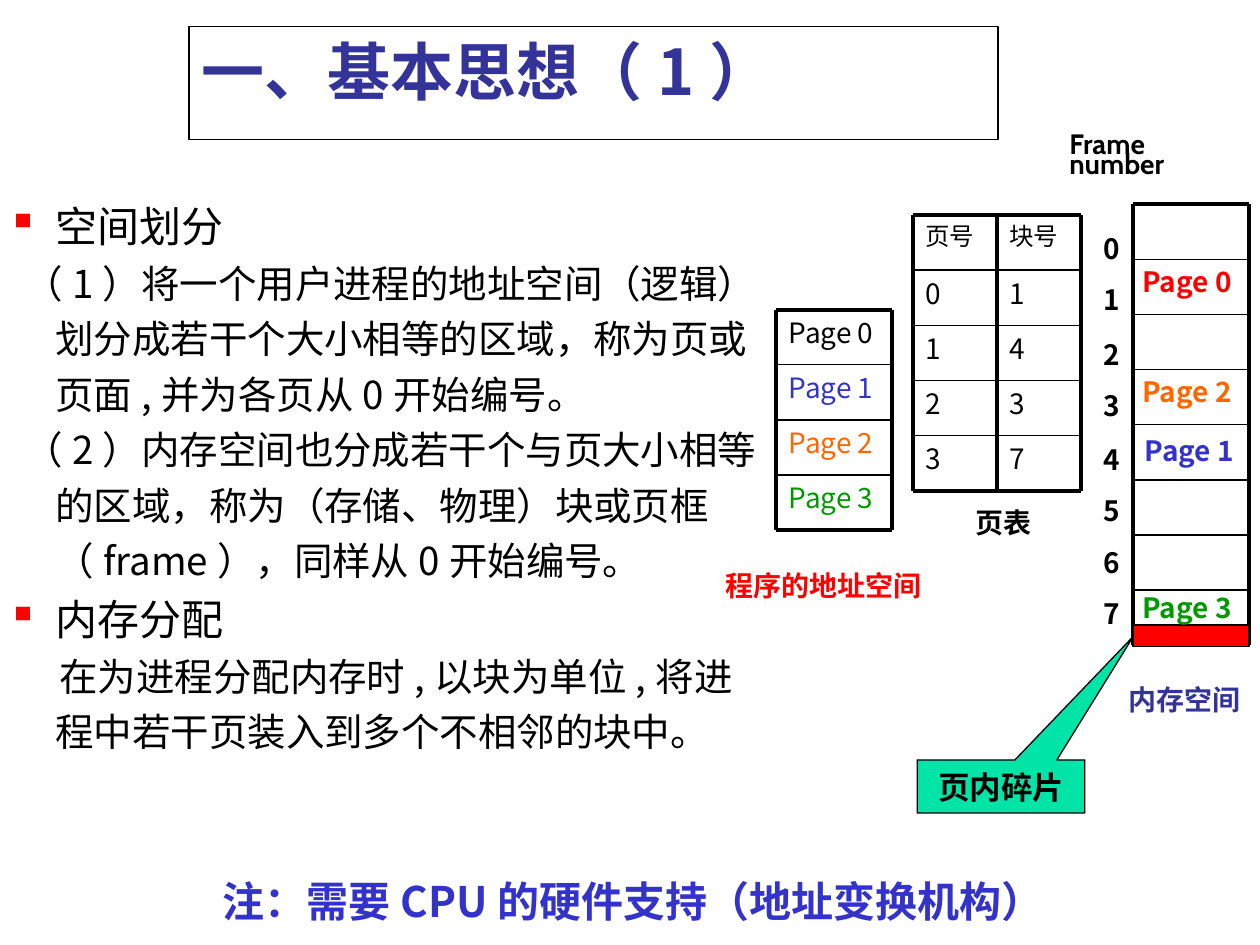
import pptx
import pptx.util
import pptx.dml.color
import pptx.enum.shapes
import pptx.enum.text
import pptx.oxml.ns
import lxml.etree

Cm = pptx.util.Cm
Pt = pptx.util.Pt
RGBColor = pptx.dml.color.RGBColor
Kind = pptx.enum.shapes.MSO_SHAPE
Align = pptx.enum.text.PP_ALIGN
Anchor = pptx.enum.text.MSO_ANCHOR
qn = pptx.oxml.ns.qn

BLACK = RGBColor(0x00, 0x00, 0x00)
WHITE = RGBColor(0xFF, 0xFF, 0xFF)
RED = RGBColor(0xFF, 0x00, 0x00)
BLUE = RGBColor(0x33, 0x33, 0xCC)
NAVY = RGBColor(0x33, 0x33, 0x99)
ORANGE = RGBColor(0xFF, 0x66, 0x00)
GREEN = RGBColor(0x00, 0x99, 0x00)
MINT = RGBColor(0x00, 0xE4, 0xA8)

PAGES = [("Page 0", BLACK), ("Page 1", BLUE), ("Page 2", ORANGE), ("Page 3", GREEN)]
TABLE = [("页号", "块号"), ("0", "1"), ("1", "4"), ("2", "3"), ("3", "7")]
BODY = [
    ("空间划分", 24, None),
    ("（1）将一个用户进程的地址空间（逻辑）划分成若干个大小相等的区域，称为页或页面,并为各页从0开始编号。", 22, -0.62),
    ("（2）内存空间也分成若干个与页大小相等的区域，称为（存储、物理）块或页框（frame），同样从0开始编号。", 22, -0.62),
    ("内存分配", 24, None),
    ("在为进程分配内存时,以块为单位,将进程中若干页装入到多个不相邻的块中。", 22, 0.08),
]
ROW = 1.11
WIDE = 2.34


class Deck:
    sans = "Noto Sans CJK SC"
    round = "Cabin"
    loose = 1.2

    def __init__(self, slide):
        self.slide = slide
        self.shapes = slide.shapes

    def run(self, para, text, size=16, color=BLACK, bold=False, face=sans):
        run = para.add_run()
        run.text = text
        font = run.font
        font.size, font.bold, font.name = Pt(size), bold, face
        font.color.rgb = color
        east = lxml.etree.SubElement(font._element, qn("a:ea"))
        east.set("typeface", face)

    def box(self, x, y, w, h, wrap=True):
        box = self.shapes.add_textbox(Cm(x), Cm(y), Cm(w), Cm(h))
        box.text_frame.word_wrap = wrap
        return box

    def label(self, x, y, w, h, text, wrap=True, **look):
        frame = self.box(x, y, w, h, wrap).text_frame
        self.run(frame.paragraphs[0], text, **look)

    def lines(self, x, y, w, h, texts, space, gap, **look):
        frame = self.box(x, y, w, h).text_frame
        for i, text in enumerate(texts):
            para = frame.paragraphs[0] if i == 0 else frame.add_paragraph()
            para.line_spacing = space(i)
            if i:
                para.space_before = Pt(gap)
            self.run(para, text, **look)

    def indent(self, para, left, first):
        props = para._p.get_or_add_pPr()
        props.set("marL", str(Cm(left)))
        props.set("indent", str(Cm(first)))
        return props

    def bullet(self, props):
        tint = lxml.etree.SubElement(props, qn("a:buClr"))
        lxml.etree.SubElement(tint, qn("a:srgbClr")).set("val", str(RED))
        lxml.etree.SubElement(props, qn("a:buSzPct")).set("val", "100000")
        lxml.etree.SubElement(props, qn("a:buChar")).set("char", "▪")

    def body(self, x, y, w, h, items):
        frame = self.box(x, y, w, h).text_frame
        for i, (text, size, first) in enumerate(items):
            para = frame.paragraphs[0] if i == 0 else frame.add_paragraph()
            props = self.indent(para, 0.97, -0.97 if first is None else first)
            if first is None:
                self.bullet(props)
            para.line_spacing = self.loose
            self.run(para, text, size)

    def shape(self, kind, x, y, w, h, fill):
        shape = self.shapes.add_shape(kind, Cm(x), Cm(y), Cm(w), Cm(h))
        shape.shadow.inherit = False
        shape.fill.solid()
        shape.fill.fore_color.rgb = fill
        shape.line.color.rgb = BLACK
        shape.line.width = Pt(0.75)
        return shape

    def line(self, x, y, right, low, width):
        line = self.shapes.add_connector(
            pptx.enum.shapes.MSO_CONNECTOR.STRAIGHT, Cm(x), Cm(y), Cm(right), Cm(low))
        line.line.color.rgb = BLACK
        line.line.width = Pt(width)
        lxml.etree.SubElement(line._element.spPr, qn("a:effectLst"))

    def grid(self, x, y, cols, rows, wide):
        right, low = x + cols * wide, y + rows * ROW
        for i in range(rows + 1):
            edge = y + i * ROW
            self.line(x, edge, right, edge, 2.25 if i in (0, rows) else 1)
        for i in range(cols + 1):
            edge = x + i * wide
            self.line(edge, y, edge, low, 2.25)


def main():
    show = pptx.Presentation()
    show.slide_width, show.slide_height = Cm(25.4), Cm(19.05)
    deck = Deck(show.slides.add_slide(show.slide_layouts[6]))

    title = deck.shape(Kind.RECTANGLE, 3.81, 0.53, 16.31, 2.29, WHITE)
    frame = title.text_frame
    frame.vertical_anchor = Anchor.TOP
    para = frame.paragraphs[0]
    para.alignment = Align.LEFT
    for text, face in [("一、基本思想（", deck.round), ("1", deck.sans), ("）", deck.round)]:
        deck.run(para, text, 36, NAVY, True, face)

    deck.body(-0.1, 3.71, 15.8, 14.63, BODY)

    call = deck.shape(Kind.RECTANGULAR_CALLOUT, 18.49, 15.32, 3.38, 1.07, MINT)
    call.adjustments[0], call.adjustments[1] = 0.79, -2.83
    call.text_frame.vertical_anchor = Anchor.MIDDLE
    para = call.text_frame.paragraphs[0]
    para.alignment = Align.CENTER
    deck.run(para, "页内碎片", 18, bold=True)

    for i, (text, color) in enumerate(PAGES):
        deck.label(15.65, 6.24 + i * ROW, WIDE, ROW, text, color=color)
    deck.grid(15.65, 6.24, 1, len(PAGES), WIDE)
    deck.label(14.38, 11.33, 5.28, 0.94, "程序的地址空间", color=RED, bold=True)

    for i, pair in enumerate(TABLE):
        for j, text in enumerate(pair):
            deck.label(18.4 + j * 1.7, 4.34 + i * ROW, 1.7, ROW, text,
                       size=16 if i else 14)
    deck.grid(18.4, 4.34, 2, len(TABLE), 1.7)
    deck.label(19.41, 10.06, 2.11, 0.94, "页表", bold=True)

    deck.lines(22, 4.55, 0.84, 8.28, "01234567",
               lambda i: 1.1 if i in (2, 4) else 1.0, 10, bold=True)
    deck.lines(21.31, 2.67, 2.74, 1.07, ["Frame", "number"],
               lambda i: 0.6, 0, bold=True, face=deck.round)
    deck.grid(22.84, 4.12, 1, 8, WIDE)
    deck.label(22.5, 13.64, 3.2, 0.94, "内存空间", color=NAVY, bold=True)
    deck.shape(Kind.RECTANGLE, 22.84, 12.6, WIDE, 0.43, RED)

    note = deck.box(1.7, 17.32, 19.99, 1.47).text_frame.paragraphs[0]
    deck.indent(note, 2.54, 0)
    note.line_spacing = deck.loose
    deck.run(note, "注：需要CPU的硬件支持（地址变换机构）", 24, BLUE, True)

    spots = [(22.78, 5.21), (22.83, 8.61), (22.78, 7.42), (22.78, 11.79)]
    for (x, y), (text, color) in zip(spots, [("Page 0", RED)] + PAGES[1:]):
        deck.label(x, y, 2.36, 0.94, text, wrap=False, color=color, bold=True)

    show.save("out.pptx")


if __name__ == "__main__":
    main()
